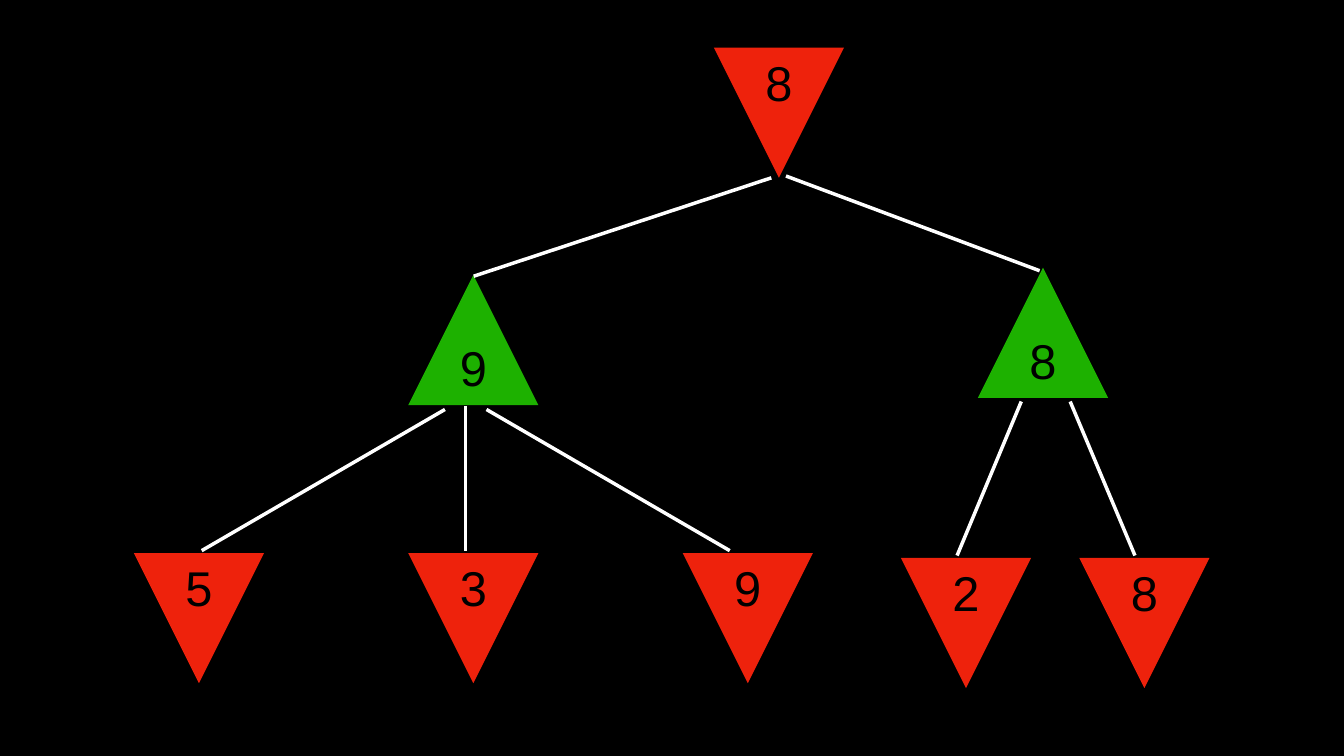
import pptx
import pptx.util
import pptx.dml.color
import pptx.enum.shapes
import pptx.enum.text
import pptx.oxml.ns
import lxml.etree

PX = 9144
SIDE = 213
RED, GREEN, WHITE, BLACK = "EE220C", "1DB100", "FFFFFF", "000000"
KIND = pptx.enum.shapes.MSO_SHAPE
ANCHOR = pptx.enum.text.MSO_ANCHOR

MAX_NODES = [(668, 450, "9"), (1600, 438, "8")]
MIN_NODES = [
    (1168, 78, "8"),
    (219, 905, "5"), (668, 905, "3"), (1117, 905, "9"),
    (1474, 913, "2"), (1766, 913, "8"),
]
EDGES = [
    (1262, 291, 775, 452), (1286, 288, 1701, 443),
    (728, 670, 330, 901), (762, 664, 762, 901), (796, 670, 1194, 901),
    (1671, 657, 1566, 909), (1751, 657, 1857, 909),
]


def emu(px):
    return pptx.util.Emu(px * PX)


def paint(fill, tone):
    fill.solid()
    fill.fore_color.rgb = pptx.dml.color.RGBColor.from_string(tone)


def node(slide, kind, left, top, text, tone, anchor, inset):
    shape = slide.shapes.add_shape(kind, emu(left), emu(top), emu(SIDE), emu(SIDE))
    shape.shadow.inherit = False
    paint(shape.fill, tone)
    shape.line.fill.background()
    frame = shape.text_frame
    frame.margin_left = frame.margin_right = 0
    frame.margin_top, frame.margin_bottom = map(emu, inset)
    frame.vertical_anchor = anchor
    frame.text = text
    para = frame.paragraphs[0]
    para.alignment = pptx.enum.text.PP_ALIGN.CENTER
    font = para.runs[0].font
    font.name = "Arial"
    font.size = pptx.util.Pt(57.5)
    paint(font.fill, BLACK)


def edge(slide, ends):
    link = slide.shapes.add_connector(
        pptx.enum.shapes.MSO_CONNECTOR.STRAIGHT, *map(emu, ends))
    paint(link.line.fill, WHITE)
    link.line.width = pptx.util.Pt(4.12)
    props = link._element.spPr
    lxml.etree.SubElement(props, pptx.oxml.ns.qn("a:effectLst"))


def main():
    deck = pptx.Presentation()
    deck.slide_width, deck.slide_height = emu(2199), emu(1237)
    slide = deck.slides.add_slide(deck.slide_layouts[6])
    paint(slide.background.fill, BLACK)
    for left, top, text in MAX_NODES:
        node(slide, KIND.ISOSCELES_TRIANGLE, left, top, text, GREEN,
             ANCHOR.BOTTOM, (0, 14))
    for left, top, text in MIN_NODES:
        node(slide, KIND.FLOWCHART_MERGE, left, top, text, RED,
             ANCHOR.TOP, (8, 0))
    for ends in EDGES:
        edge(slide, ends)
    deck.save("out.pptx")


if __name__ == "__main__":
    main()
